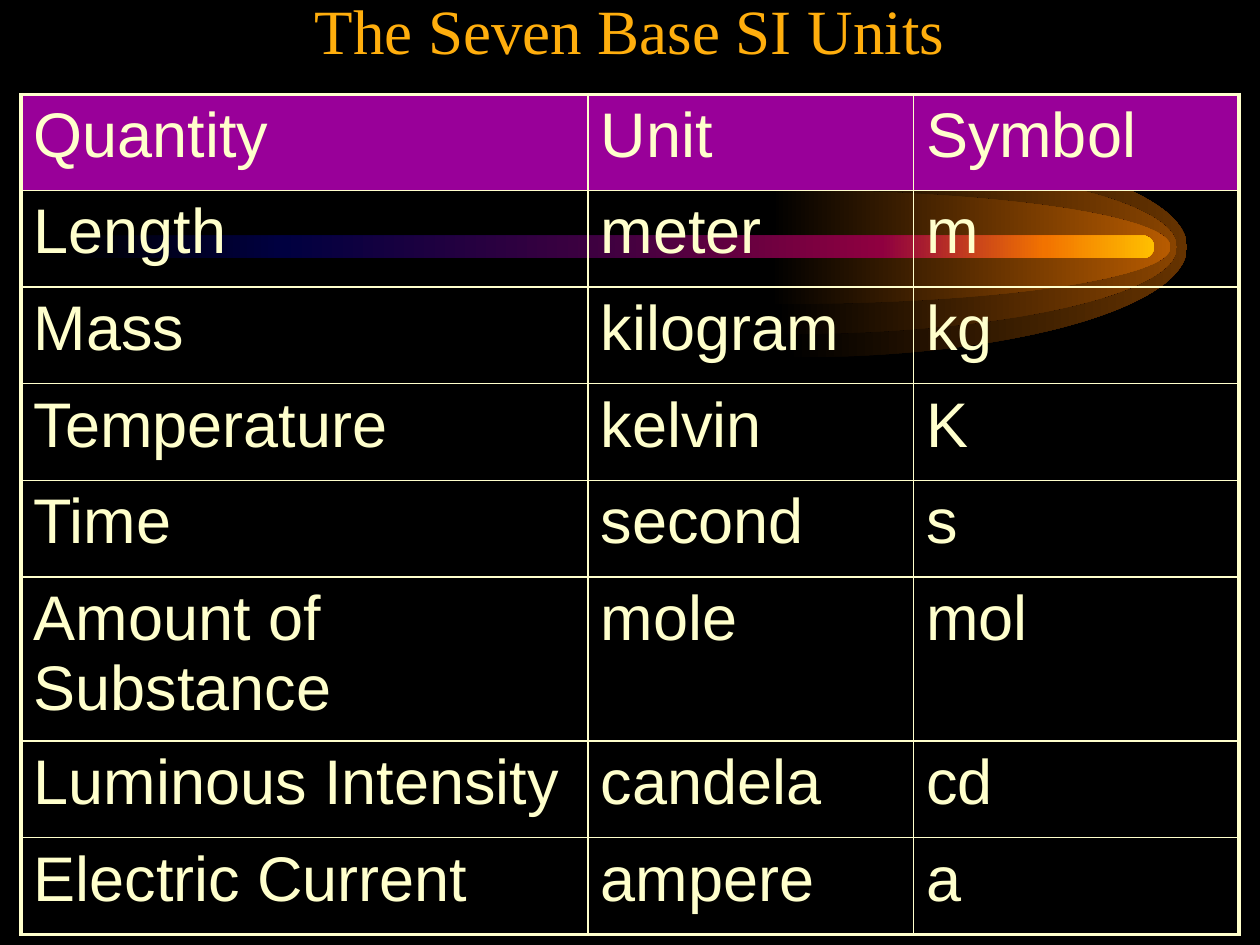
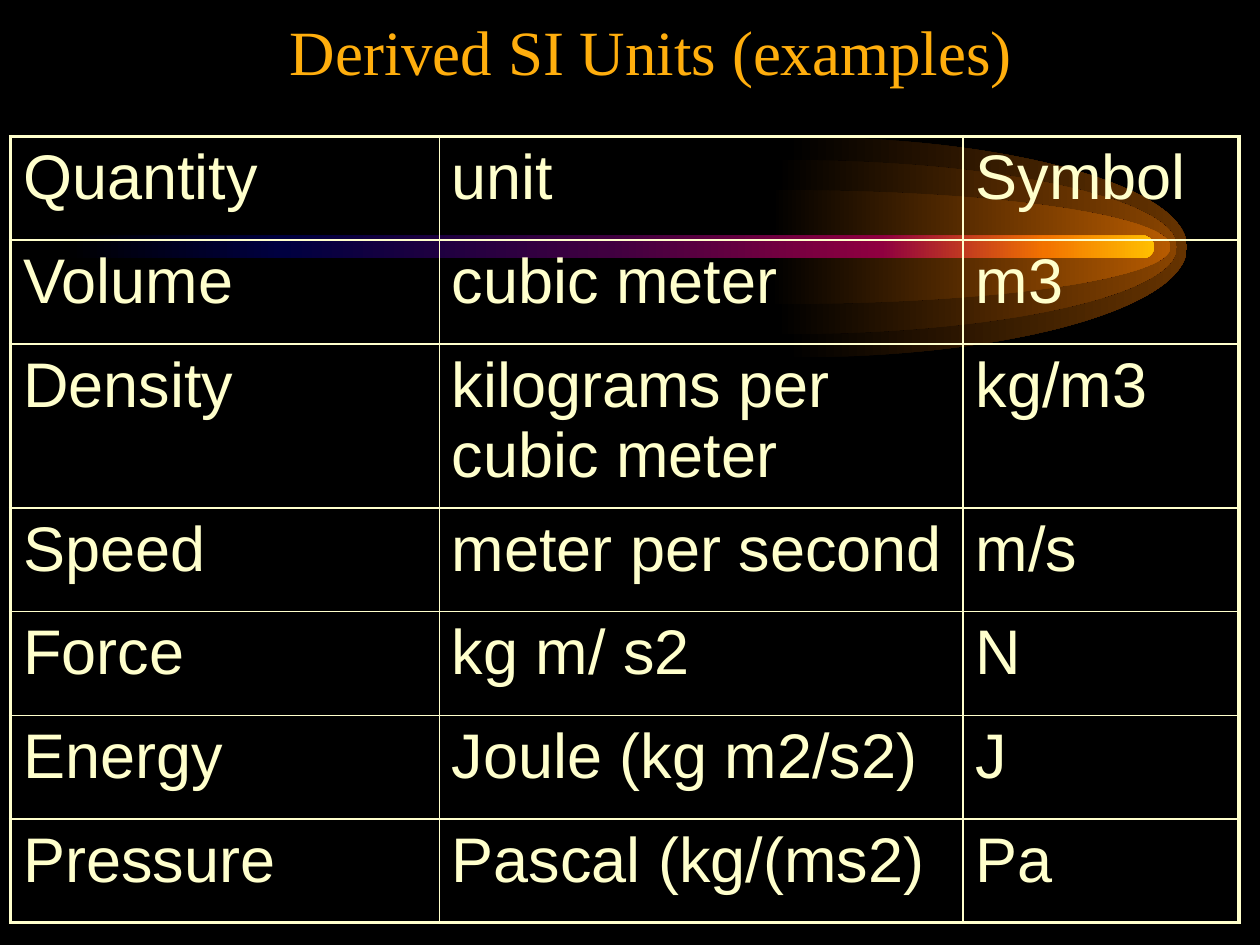
"""Build two slides of SI unit tables over a glowing comet backdrop."""
from dataclasses import dataclass
from typing import Any

from pptx import Presentation
from pptx.dml.color import RGBColor
from pptx.enum.shapes import MSO_SHAPE
from pptx.enum.text import MSO_ANCHOR, PP_ALIGN
from pptx.oxml import parse_xml
from pptx.oxml.ns import nsdecls, qn
from pptx.slide import Slide
from pptx.util import Pt

COLORS = {
    "background": "000000",
    "title": "FFAE0D",
    "text": "FFFFCC",
    "border": "FFFFCC",
    "header": "990099",
    "outer_glow": "663300",
    "middle_glow": "894400",
    "inner_glow": "B75B00",
    "navy": "000040",
    "plum": "400040",
    "crimson": "8F0040",
    "orange": "F27300",
    "amber": "FFBF00",
}
TITLE_FONT = {"name": "Times New Roman", "size": Pt(36)}
CELL_FONT = {"name": "Arial", "size": Pt(36)}
TITLE_FRAME = {"word_wrap": True, "vertical_anchor": MSO_ANCHOR.BOTTOM}
PLAIN_TABLE = {"first_row": False, "horz_banding": False}
OUTER_BORDER, INNER_BORDER = Pt(2.25), Pt(1)
COMET_MIDDLE = 141.2
ARC_PULL = 0.55


@dataclass(frozen=True)
class Glow:
    """One half-ellipse of the comet's halo."""
    center_x: float
    radius_y: float
    color: str
    radius_x: float = 225.4
    overhang: float = 3.4


@dataclass(frozen=True)
class Box:
    """A rectangle in points."""
    left: float
    top: float
    width: float
    height: float

    def lengths(self) -> list[Pt]:
        """Return the four lengths as slide units."""
        return [Pt(value) for value in (self.left, self.top, self.width, self.height)]


@dataclass(frozen=True)
class UnitPage:
    """The title and table of one slide."""
    title: str
    title_box: Box
    title_inset: float
    left: float
    top: float
    widths: list[float]
    heights: list[float]
    rows: list[tuple[str, str, str]]
    header_color: str | None = None


GLOWS = [
    Glow(452.9, 63, "outer_glow"),
    Glow(447.1, 49.8, "middle_glow"),
    Glow(443.5, 32.6, "inner_glow"),
]
BAR_BOX = Box(36, 134.6, 623.5, 13)
BAR_STOPS = [(0, "background"), (20, "navy"), (50, "plum"),
             (75, "crimson"), (90, "orange"), (100, "amber")]
PAGES = [
    UnitPage(
        "The Seven Base SI Units", Box(66, -12, 516, 54), 78.6,
        12, 54, [324, 186, 186], [54.75, *[55.25] * 4, 93.75, *[55.25] * 2],
        [
            ("Quantity", "Unit", "Symbol"),
            ("Length", "meter", "m"),
            ("Mass", "kilogram", "kg"),
            ("Temperature", "kelvin", "K"),
            ("Time", "second", "s"),
            ("Amount of Substance", "mole", "mol"),
            ("Luminous Intensity", "candela", "cd"),
            ("Electric Current", "ampere", "a"),
        ],
        "header",
    ),
    UnitPage(
        "Derived SI Units (examples)", Box(48, -6, 648, 60), 7.2,
        6, 78, [245, 299.4, 157.6], [*[59.25] * 2, 93.75, *[59.25] * 4],
        [
            ("Quantity", "unit", "Symbol"),
            ("Volume", "cubic meter", "m3"),
            ("Density", "kilograms per cubic meter", "kg/m3"),
            ("Speed", "meter per second", "m/s"),
            ("Force", "kg m/ s2", "N"),
            ("Energy", "Joule (kg m2/s2)", "J"),
            ("Pressure", "Pascal (kg/(ms2)", "Pa"),
        ],
    ),
]


def rgb(name: str) -> RGBColor:
    """Look up a named colour."""
    return RGBColor.from_string(COLORS[name])


def apply_format(target: Any, values: dict[str, Any]) -> None:
    """Set each attribute in values on target."""
    for name, value in values.items():
        setattr(target, name, value)


def write_text(frame: Any, text: str, font: dict[str, Any], color: str) -> Any:
    """Put one formatted span in a text frame and return its paragraph."""
    para = frame.paragraphs[0]
    span = para.add_run()
    span.text = text
    apply_format(span.font, font)
    span.font.color.rgb = rgb(color)
    return para


def paint_gradient(shape: Any, stops: list[tuple[int, str]]) -> None:
    """Fill a borderless shape with a left-to-right gradient."""
    shape.shadow.inherit = False
    shape.line.fill.background()
    shape.fill.gradient()
    shape.fill.gradient_angle = 0
    stop_list = next(shape.element.iter(qn("a:gsLst")))
    for stop in list(stop_list):
        stop_list.remove(stop)
    for position, color in stops:
        stop_list.append(parse_xml(
            f'<a:gs {nsdecls("a")} pos="{position * 1000}">'
            f'<a:srgbClr val="{COLORS[color]}"/></a:gs>'))


def round_tip(shape: Any) -> None:
    """Turn the first two straight sides of a freeform into quarter-ellipses."""
    nodes = list(shape.element.iter(qn("a:pt")))[:3]
    top, tip, bottom = [(int(node.get("x")), int(node.get("y"))) for node in nodes]
    reach = int(ARC_PULL * (tip[0] - top[0]))
    rise = int(ARC_PULL * (tip[1] - top[1]))
    curves = [
        [(top[0] + reach, top[1]), (tip[0], tip[1] - rise), tip],
        [(tip[0], tip[1] + rise), (bottom[0] + reach, bottom[1]), bottom],
    ]
    for side, curve in zip(list(shape.element.iter(qn("a:lnTo"))), curves):
        points = "".join(f'<a:pt x="{x}" y="{y}"/>' for x, y in curve)
        side.getparent().replace(side, parse_xml(
            f'<a:cubicBezTo {nsdecls("a")}>{points}</a:cubicBezTo>'))


def draw_glow(shapes: Any, glow: Glow) -> None:
    """Draw one half-ellipse fading out to the left."""
    center, bottom = glow.center_x, COMET_MIDDLE + glow.radius_y
    corners = [
        (center, COMET_MIDDLE - glow.radius_y),
        (center + glow.radius_x, COMET_MIDDLE),
        (center, bottom),
        (center - glow.overhang, bottom),
        (center, COMET_MIDDLE),
    ]
    points = [(Pt(x), Pt(y)) for x, y in corners]
    builder = shapes.build_freeform(*points[0])
    builder.add_line_segments(points[1:], close=True)
    shape = builder.convert_to_shape()
    round_tip(shape)
    paint_gradient(shape, [(0, "background"), (100, glow.color)])


def add_comet_to_master(deck: Any, page: Slide) -> None:
    """Draw the comet as one group and move it behind everything on the master."""
    group = page.shapes.add_group_shape()
    for glow in GLOWS:
        draw_glow(group.shapes, glow)
    bar = group.shapes.add_shape(MSO_SHAPE.ROUNDED_RECTANGLE, *BAR_BOX.lengths())
    bar.adjustments[0] = 0.5
    paint_gradient(bar, BAR_STOPS)
    deck.slide_master.shapes.element.insert(2, group.element)


def draw_title(page: Slide, content: UnitPage) -> None:
    """Draw the centred title."""
    box = page.shapes.add_textbox(*content.title_box.lengths())
    apply_format(box.text_frame, TITLE_FRAME | {"margin_left": Pt(content.title_inset)})
    write_text(box.text_frame, content.title, TITLE_FONT, "title").alignment = PP_ALIGN.CENTER


def draw_borders(cell: Any, outer_sides: dict[str, bool]) -> None:
    """Outline a cell, heavier where it meets the table's edge."""
    properties = cell._tc.get_or_add_tcPr()
    for side, is_outer in outer_sides.items():
        width = OUTER_BORDER if is_outer else INNER_BORDER
        properties.append(parse_xml(
            f'<a:ln{side} {nsdecls("a")} w="{int(width)}"><a:solidFill>'
            f'<a:srgbClr val="{COLORS["border"]}"/></a:solidFill></a:ln{side}>'))


def draw_table(page: Slide, content: UnitPage) -> None:
    """Draw the table of units."""
    widths, heights = content.widths, content.heights
    area = Box(content.left, content.top, sum(widths), sum(heights))
    table = page.shapes.add_table(len(heights), len(widths), *area.lengths()).table
    apply_format(table, PLAIN_TABLE)
    for column, width in zip(table.columns, widths):
        column.width = Pt(width)
    for row, height in zip(table.rows, heights):
        row.height = Pt(height)
    for row_index, texts in enumerate(content.rows):
        for column_index, text in enumerate(texts):
            cell = table.cell(row_index, column_index)
            para = write_text(cell.text_frame, text, CELL_FONT, "text")
            para._p.get_or_add_pPr().append(parse_xml(
                f'<a:spcBef {nsdecls("a")}><a:spcPct val="20000"/></a:spcBef>'))
            draw_borders(cell, {
                "L": column_index == 0,
                "R": column_index == len(widths) - 1,
                "T": row_index == 0,
                "B": row_index == len(heights) - 1,
            })
            if row_index == 0 and content.header_color:
                cell.fill.solid()
                cell.fill.fore_color.rgb = rgb(content.header_color)
            else:
                cell.fill.background()


def main() -> None:
    """Build and save the deck."""
    deck = Presentation()
    apply_format(deck, {"slide_width": Pt(720), "slide_height": Pt(540)})
    backdrop = deck.slide_master.background.fill
    backdrop.solid()
    backdrop.fore_color.rgb = rgb("background")
    pages = [deck.slides.add_slide(deck.slide_layouts[6]) for _ in PAGES]
    add_comet_to_master(deck, pages[0])
    for page, content in zip(pages, PAGES):
        draw_title(page, content)
        draw_table(page, content)
    deck.save("out.pptx")


if __name__ == "__main__":
    main()
